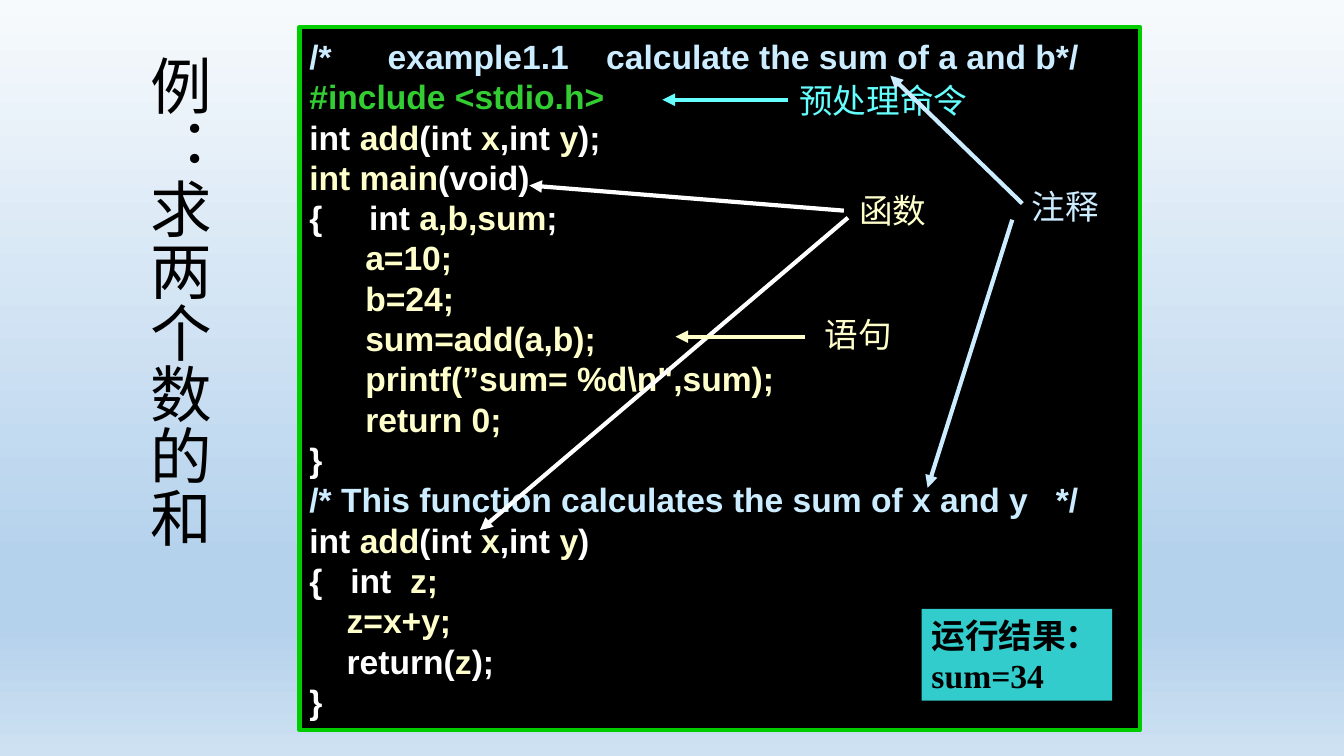
from pptx import Presentation
from pptx.dml.color import RGBColor
from pptx.enum import shapes, text
from pptx.oxml import ns
from pptx.util import Inches, Pt
from lxml import etree

BLACK = RGBColor(0x00, 0x00, 0x00)
WHITE = RGBColor(0xFF, 0xFF, 0xFF)
CREAM = RGBColor(0xFF, 0xFF, 0xCC)
PALE = RGBColor(0xCC, 0xEC, 0xFF)
GREEN = RGBColor(0x33, 0xCC, 0x33)
EDGE = RGBColor(0x00, 0xCC, 0x00)
CYAN = RGBColor(0x66, 0xFF, 0xFF)
TEAL = RGBColor(0x33, 0xCC, 0xCC)
SKY = [
    (0, RGBColor(0xF7, 0xFA, 0xFD)),
    (74, RGBColor(0xB5, 0xD2, 0xEC)),
    (83, RGBColor(0xB5, 0xD2, 0xEC)),
    (100, RGBColor(0xCE, 0xE1, 0xF2)),
]

HEAD = [(WHITE, "int "), (CREAM, "add"), (WHITE, "(int "), (CREAM, "x"),
        (WHITE, ",int "), (CREAM, "y")]
CODE = [
    [(PALE, "/*      example1.1    calculate the sum of a and b*/")],
    [(GREEN, "#include <stdio.h>")],
    HEAD + [(WHITE, ");")],
    [(CREAM, "int main"), (WHITE, "(void)")],
    [(WHITE, "{     int "), (CREAM, "a,b,sum"), (WHITE, ";")],
    [(CREAM, "      a=10;")],
    [(CREAM, "      b=24;")],
    [(CREAM, "      sum=add(a,b);")],
    [(CREAM, "      printf(”sum= %d\\n\",sum);")],
    [(CREAM, "      return 0;")],
    [(WHITE, "}")],
    [(PALE, "/* This function calculates the sum of x and y   */")],
    HEAD + [(WHITE, ")")],
    [(WHITE, "{   int "), (CREAM, " z;")],
    [(CREAM, "    z=x+y;")],
    [(WHITE, "    return("), (CREAM, "z"), (WHITE, ");")],
    [(WHITE, "}")],
]


def paint(slide):
    fill = slide.background.fill
    fill.gradient()
    fill.gradient_angle = 270
    stops = next(slide.element.iter(ns.qn("a:gsLst")))
    for stop in list(stops):
        stops.remove(stop)
    for place, color in SKY:
        stop = etree.SubElement(stops, ns.qn("a:gs"), pos=str(place * 1000))
        etree.SubElement(stop, ns.qn("a:srgbClr"), val=str(color))


def panel(slide, left, top, width, height, color):
    box = slide.shapes.add_shape(shapes.MSO_SHAPE.RECTANGLE, Inches(left),
                                 Inches(top), Inches(width), Inches(height))
    box.shadow.inherit = False
    box.fill.solid()
    box.fill.fore_color.rgb = color
    box.line.fill.background()
    box.text_frame.vertical_anchor = text.MSO_ANCHOR.MIDDLE
    box.text_frame.word_wrap = False
    return box


def write(frame, lines, name, size, bold=False):
    for i, runs in enumerate(lines):
        para = frame.add_paragraph() if i else frame.paragraphs[0]
        para.alignment = text.PP_ALIGN.LEFT
        para.font.name = name
        para.font.size = Pt(size)
        para.font.bold = bold
        for color, words in runs:
            run = para.add_run()
            run.text = words
            run.font.color.rgb = color


def label(slide, left, top, width, words, color):
    box = slide.shapes.add_textbox(Inches(left), Inches(top),
                                   Inches(width), Inches(0.5))
    frame = box.text_frame
    frame.word_wrap = False
    frame.vertical_anchor = text.MSO_ANCHOR.MIDDLE
    write(frame, [[(color, words)]], "Times New Roman", 24)
    frame.paragraphs[0].alignment = text.PP_ALIGN.CENTER
    return box


def arrow(slide, start, end, color):
    line = slide.shapes.add_connector(
        shapes.MSO_CONNECTOR.STRAIGHT, *map(Inches, start + end))
    line.line.color.rgb = color
    line.line.width = Pt(3)
    etree.SubElement(line.line._get_or_add_ln(), ns.qn("a:tailEnd"),
                     type="triangle")
    etree.SubElement(line.element.spPr, ns.qn("a:effectLst"))
    return line


def title(slide, words):
    box = slide.shapes.add_textbox(Inches(1.02), Inches(0.45),
                                   Inches(1.09), Inches(6.3))
    frame = box.text_frame
    frame.word_wrap = True
    frame._txBody.bodyPr.set("vert", "eaVert")
    write(frame, [[(BLACK, words)]], "Calibri", 44)
    frame.paragraphs[0].line_spacing = 0.9


def main():
    deck = Presentation()
    deck.slide_width = Inches(13.33)
    deck.slide_height = Inches(7.5)
    slide = deck.slides.add_slide(deck.slide_layouts[6])
    paint(slide)

    code = panel(slide, 2.97, 0.27, 8.34, 6.97, BLACK)
    code.line.color.rgb = EDGE
    code.line.width = Pt(3)
    write(code.text_frame, CODE, "Arial", 24, True)
    for para in code.text_frame.paragraphs:
        para.line_spacing = Pt(28.8)

    result = panel(slide, 9.14, 6.04, 1.89, 0.91, TEAL)
    write(result.text_frame, [[(BLACK, "运行结果：")], [(BLACK, "sum=34")]],
          "Times New Roman", 24, True)

    arrow(slide, (8.37, 2.09), (5.25, 1.84), WHITE)
    arrow(slide, (8.41, 2.16), (4.76, 5.26), WHITE)
    label(slide, 8.42, 1.83, 0.87, "函数", CREAM)
    arrow(slide, (7.98, 3.34), (6.7, 3.34), CREAM)
    label(slide, 8.08, 3.06, 0.87, "语句", CREAM)
    order = label(slide, 7.82, 0.74, 1.88, "预处理命令", CYAN)
    arrow(slide, (7.82, 0.99), (6.57, 0.99), CYAN).begin_connect(order, 1)
    arrow(slide, (10.14, 2.02), (8.83, 0.75), PALE)
    label(slide, 10.13, 1.79, 0.87, "注释", PALE)
    arrow(slide, (10.04, 2.18), (9.2, 4.84), PALE)

    title(slide, "例：求两个数的和")
    deck.save("out.pptx")


if __name__ == "__main__":
    main()
